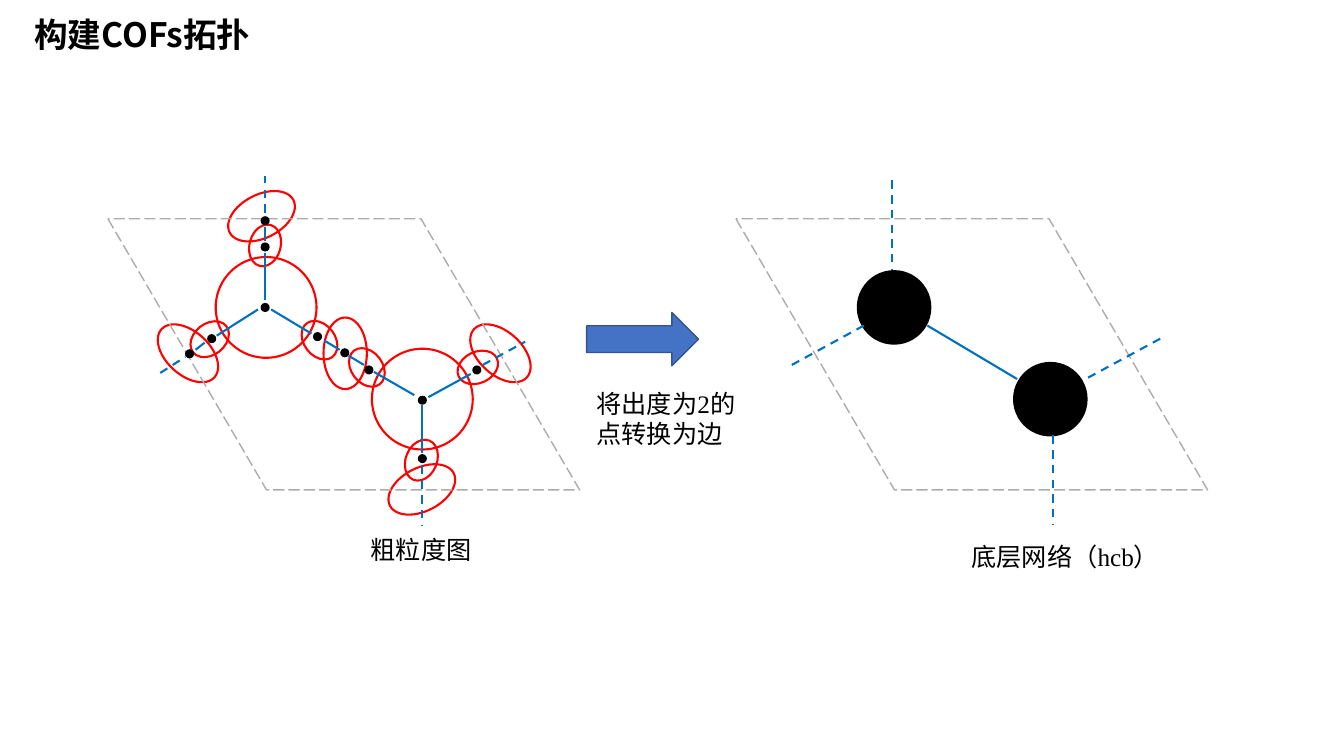
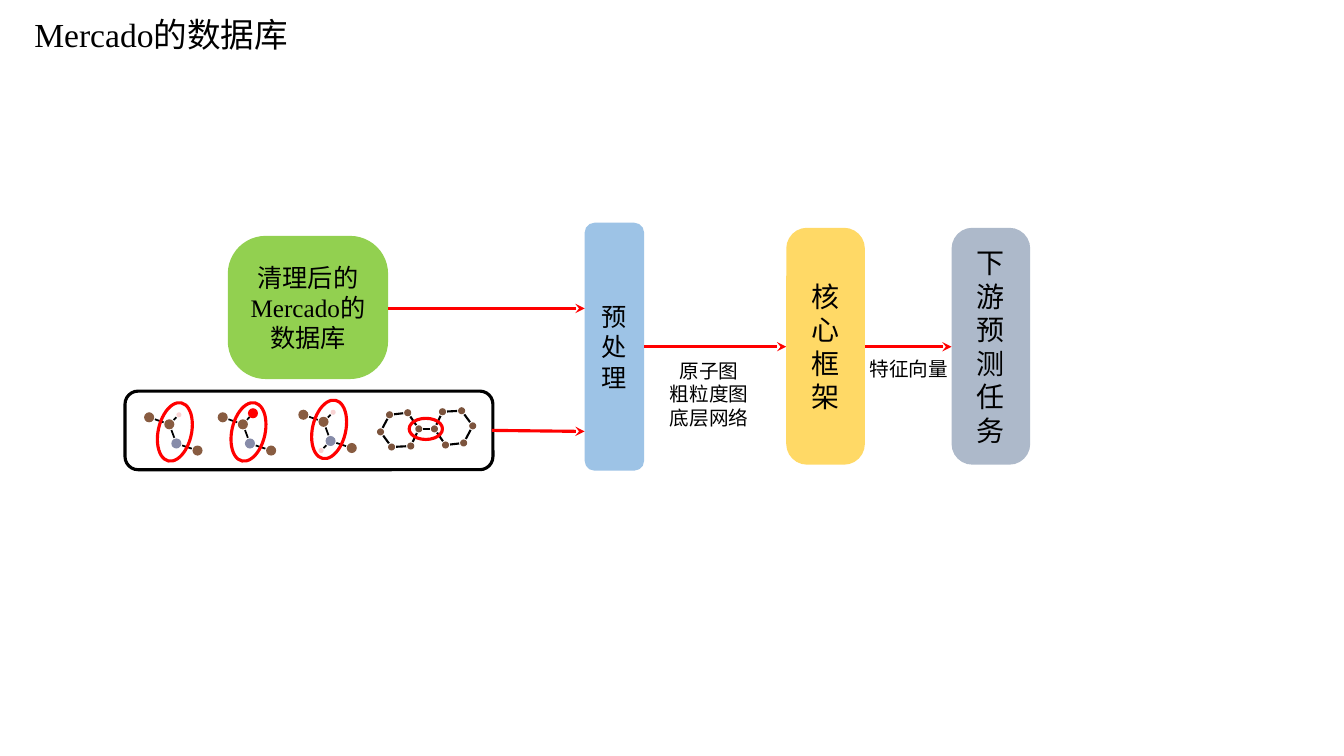
from math import dist

from lxml.etree import SubElement
from pptx import Presentation
from pptx.dml.color import RGBColor
from pptx.enum.dml import MSO_LINE
from pptx.enum.shapes import MSO_CONNECTOR, MSO_SHAPE
from pptx.enum.text import MSO_ANCHOR, MSO_AUTO_SIZE, PP_ALIGN
from pptx.oxml.ns import qn
from pptx.util import Inches, Pt

BLACK = RGBColor(0x00, 0x00, 0x00)
RED = RGBColor(0xFF, 0x00, 0x00)
EDGE_BLUE = RGBColor(0x00, 0x70, 0xC0)
CELL_GRAY = RGBColor(0xAF, 0xAB, 0xAB)
ARROW_BLUE = RGBColor(0x44, 0x72, 0xC4)
ARROW_RIM = RGBColor(0x32, 0x54, 0x91)
GREEN = RGBColor(0x92, 0xD0, 0x50)
SKY = RGBColor(0x9D, 0xC3, 0xE6)
YELLOW = RGBColor(0xFF, 0xD9, 0x66)
SLATE = RGBColor(0xAD, 0xB9, 0xCA)
CARBON = RGBColor(0x88, 0x5C, 0x41)
RING_CARBON = RGBColor(0x7C, 0x54, 0x3D)
NITROGEN = RGBColor(0x87, 0x8C, 0xA9)
HYDROGEN = RGBColor(0xF8, 0xD3, 0xD3)

SANS = "Noto Sans CJK SC"
SERIF = "Times New Roman"


def grid(*cells):
    """Turn columns or rows, ten to the inch, into slide lengths."""
    return [Inches(cell / 10) for cell in cells]


class Deck:
    """Holds the shared style and the slide being drawn."""

    def __init__(self):
        self.deck = Presentation()
        self.deck.slide_width, self.deck.slide_height = grid(133.33, 75)
        self.slide = None
        self.canvas = None

    def new_slide(self, title, font, bold=False):
        self.slide = self.deck.slides.add_slide(self.deck.slide_layouts[5])
        self.ungroup()
        heading = self.slide.shapes.title
        heading.left, heading.top, heading.width, heading.height = grid(2.4, 0.9, 89.7, 5)
        heading.text_frame.auto_size = MSO_AUTO_SIZE.NONE
        self.set_text(heading, title, 24, font, PP_ALIGN.LEFT, MSO_ANCHOR.TOP, bold)

    def group(self):
        self.canvas = self.slide.shapes.add_group_shape().shapes

    def ungroup(self):
        self.canvas = self.slide.shapes

    def set_text(self, holder, text, size, font, align, anchor, bold=False):
        frame = holder.text_frame
        frame.text = text
        frame.word_wrap = True
        frame.vertical_anchor = anchor
        for paragraph in frame.paragraphs:
            paragraph.alignment = align
            for run in paragraph.runs:
                run.font.size = Pt(size)
                run.font.bold = bold
                run.font.name = font
                run.font.color.rgb = BLACK
                SubElement(run.font._element, qn("a:ea")).set("typeface", SANS)

    def label(self, box, text, size, font=SANS, align=PP_ALIGN.LEFT):
        holder = self.canvas.add_textbox(*grid(*box))
        self.set_text(holder, text, size, font, align, MSO_ANCHOR.TOP)

    def shape(self, kind, box, fill=None, line=None, weight=1.5, corner=None):
        shape = self.canvas.add_shape(kind, *grid(*box))
        shape.shadow.inherit = False
        if corner is not None:
            shape.adjustments[0] = corner
        if fill is None:
            shape.fill.background()
        else:
            shape.fill.solid()
            shape.fill.fore_color.rgb = fill
        if line is None:
            shape.line.fill.background()
        else:
            shape.line.color.rgb = line
            shape.line.width = Pt(weight)
        return shape

    def block(self, box, text, size, fill, font=SANS, corner=None):
        block = self.shape(MSO_SHAPE.ROUNDED_RECTANGLE, box, fill, corner=corner)
        self.set_text(block, text, size, font, PP_ALIGN.CENTER, MSO_ANCHOR.MIDDLE)

    def dot(self, center, size, fill):
        self.oval(center, size, size, fill=fill)

    def oval(self, center, width, height, turn=0, **style):
        box = center[0] - width / 2, center[1] - height / 2, width, height
        self.shape(MSO_SHAPE.OVAL, box, **style).rotation = turn

    def unit_cell(self, left):
        box = left, 21.7, 46.8, 26.9
        cell = self.shape(MSO_SHAPE.PARALLELOGRAM, box, line=CELL_GRAY, weight=1, corner=0.585)
        cell.line.dash_style = MSO_LINE.LONG_DASH
        cell.element.spPr.find(qn("a:xfrm")).set("flipV", "1")

    def line(self, start, end, color, weight=1.5, dashed=False, arrow=False):
        line = self.canvas.add_connector(MSO_CONNECTOR.STRAIGHT, *grid(*start, *end))
        line.line.color.rgb = color
        line.line.width = Pt(weight)
        if dashed:
            line.line.dash_style = MSO_LINE.DASH
        properties = line.element.spPr
        if arrow:
            SubElement(properties.find(qn("a:ln")), qn("a:tailEnd")).set("type", "stealth")
        SubElement(properties, qn("a:effectLst"))

    def bond(self, start, end, start_gap, end_gap, weight):
        length = dist(start, end)

        def along(gap):
            return [a + (b - a) * gap / length for a, b in zip(start, end)]

        self.line(along(start_gap), along(length - end_gap), BLACK, weight)

    def flow(self, start, end):
        self.line(start, end, RED, 2.25, arrow=True)

    def save(self):
        self.deck.save("out.pptx")


def coarse_graph(deck):
    """Draw the coarse-grained graph in its unit cell."""
    beads = [(26.3, 24.35, 285.1), (31.7, 33.75, 232.5), (36.4, 36.45, 232.5),
             (47.4, 36.45, 154.7), (41.8, 45.65, 112.3), (20.8, 33.65, 141.6)]
    linkers = [(34.25, 35.05, 0), (49.65, 35.05, 312.4), (18.65, 35.05, 312.4),
               (25.95, 21.45, 243.1), (41.85, 48.55, 243.1)]
    for places, width, height in ((beads, 4.2, 3.1), (linkers, 4.3, 7.1)):
        for x, y, turn in places:
            deck.oval((x, y), width, height, turn, line=RED)
    for center in ((26.4, 30.5), (41.9, 39.6)):
        deck.oval(center, 10, 10, line=RED)
    deck.unit_cell(10.7)

    nodes = [(26.3, 30.5), (26.3, 24.5), (31.5, 33.4), (34.2, 35), (36.6, 36.7), (41.9, 39.7),
             (47.3, 36.7), (41.9, 45.5), (21, 33.6), (26.3, 21.9), (18.8, 35.1)]
    for node in nodes:
        deck.dot(node, 0.9, BLACK)
    edges = [((26.3, 22.5), (26.3, 23.9)), ((26.3, 25.1), (26.3, 29.8)),
             ((41.9, 40.2), (41.9, 44.9)), ((26.9, 30.7), (30.9, 33.1)),
             ((21.5, 33.3), (25.6, 30.7)), ((32.2, 33.8), (33.7, 34.7)),
             ((34.6, 35.3), (36.1, 36.2)), ((37.1, 36.9), (41.1, 39.2)),
             ((42.5, 39.4), (46.7, 37.1)), ((20.3, 34), (19.4, 34.7))]
    open_edges = [((41.9, 46.2), (41.9, 52.1)), ((47.9, 36.2), (52.1, 33.9)),
                  ((26.3, 21.1), (26.3, 17.5)), ((15.9, 37), (18.4, 35.4))]
    for start, end in edges:
        deck.line(start, end, EDGE_BLUE)
    for start, end in open_edges:
        deck.line(start, end, EDGE_BLUE, dashed=True)


def underlying_net(deck):
    """Draw the two-node net that the graph reduces to."""
    deck.group()
    deck.unit_cell(73)
    for node in ((88.7, 30.5), (104.2, 39.6)):
        deck.dot(node, 7.4, BLACK)
    for start, end in (((88.5, 17.9), (88.5, 26.8)), ((104.5, 43.2), (104.5, 52.1)),
                       ((115.1, 33.6), (107.7, 37.6)), ((85.7, 32.3), (78.2, 36.4))):
        deck.line(start, end, EDGE_BLUE, dashed=True)
    deck.line((92, 32.3), (100.9, 37.6), EDGE_BLUE)
    deck.ungroup()


def linkage(deck, x, y, oxygen=False, amine=False):
    """Draw one linkage around the carbon at x, y."""
    deck.group()
    carbon, nitrogen = (x, y), (x + 0.7, y + 1.9)
    near, far = (x - 2, y - 0.7), (x + 2.8, y + 2.6)
    for atom, color in ((carbon, CARBON), (nitrogen, NITROGEN), (near, CARBON), (far, CARBON)):
        deck.dot(atom, 1, color)
    for start, end in ((near, carbon), (carbon, nitrogen), (nitrogen, far)):
        deck.bond(start, end, 0.6, 0.6, 1.25)
    top = (x + 1, y - 1.1) if oxygen else (x + 0.95, y - 0.95)
    deck.bond(carbon, top, 0.6, 0.5 if oxygen else 0.35, 1.25)
    if not oxygen:
        deck.dot(top, 0.5, HYDROGEN)
    if amine:
        hydrogen = (x - 0.25, y + 2.85)
        deck.dot(hydrogen, 0.5, HYDROGEN)
        deck.bond(nitrogen, hydrogen, 0.6, 0.35, 1.25)
    deck.oval((x + 0.55, y + 0.75), 5.9, 3.3, 282.7, line=RED, weight=2.25)
    if oxygen:
        deck.dot(top, 1, RED)
    deck.ungroup()


def biphenyl(deck):
    """Draw two joined rings, the second a half turn of the first."""
    deck.group()
    left_ring = [(40.45, 40.95), (41.55, 42.55), (40.75, 44.25),
                 (38.85, 44.35), (37.75, 42.85), (38.65, 41.15)]
    right_ring = [(84.65 - x, 85.1 - y) for x, y in left_ring]
    for ring in (left_ring, right_ring):
        for atom, following in zip(ring, ring[1:] + ring[:1]):
            deck.dot(atom, 0.7, RING_CARBON)
            deck.bond(atom, following, 0.45, 0.45, 1.5)
    deck.bond(left_ring[1], right_ring[1], 0.45, 0.45, 1.5)
    deck.oval((42.25, 42.55), 3.3, 2.1, line=RED, weight=2.25)
    deck.ungroup()


def topology_slide(deck):
    """Show how the coarse graph becomes the underlying net."""
    deck.new_slide("构建COFs拓扑", SANS, bold=True)
    coarse_graph(deck)
    deck.label((35.8, 52.5, 12.8, 4), "粗粒度图", 18)
    deck.shape(MSO_SHAPE.RIGHT_ARROW, (58.2, 31, 11.1, 5.3), ARROW_BLUE, ARROW_RIM, 1)
    underlying_net(deck)
    deck.label((95.4, 53.2, 23.5, 4), "底层网络（hcb）", 18, SERIF)
    deck.label((58.2, 38, 17.2, 7.1), "将出度为2的点转换为边", 18, SERIF)


def database_slide(deck):
    """Show the path from the database to the prediction task."""
    deck.new_slide("Mercado的数据库", SERIF)
    deck.block((22.6, 23.4, 15.9, 14.2), "清理后的Mercado的数据库", 18, GREEN, SERIF, 0.265)
    deck.block((58, 22.1, 5.9, 24.6), "预处理", 18, SKY)
    linkage(deck, 16.8, 42.1)
    linkage(deck, 24.1, 42.1, oxygen=True)
    linkage(deck, 32.1, 41.85, amine=True)
    biphenyl(deck)
    deck.shape(MSO_SHAPE.ROUNDED_RECTANGLE, (12.4, 38.8, 36.5, 7.8), line=BLACK, weight=2.25)
    for start, end in (((38.5, 30.6), (58, 30.6)), ((48.8, 42.7), (58, 42.8)),
                       ((63.9, 34.4), (78, 34.4)), ((85.8, 34.4), (94.4, 34.4))):
        deck.flow(start, end)
    for left, stage, color in ((78, "核心框架", YELLOW), (94.4, "下游预测任务", SLATE)):
        deck.block((left, 22.6, 7.8, 23.5), stage, 20, color, corner=0.265)
    deck.label((63.9, 35.1, 12.9, 8.1), "原子图\n粗粒度图\n底层网络", 14, align=PP_ALIGN.CENTER)
    deck.label((83.7, 34.9, 12.9, 3.4), "特征向量", 14, align=PP_ALIGN.CENTER)


def main():
    """Build and save both slides."""
    deck = Deck()
    topology_slide(deck)
    database_slide(deck)
    deck.save()


if __name__ == "__main__":
    main()
